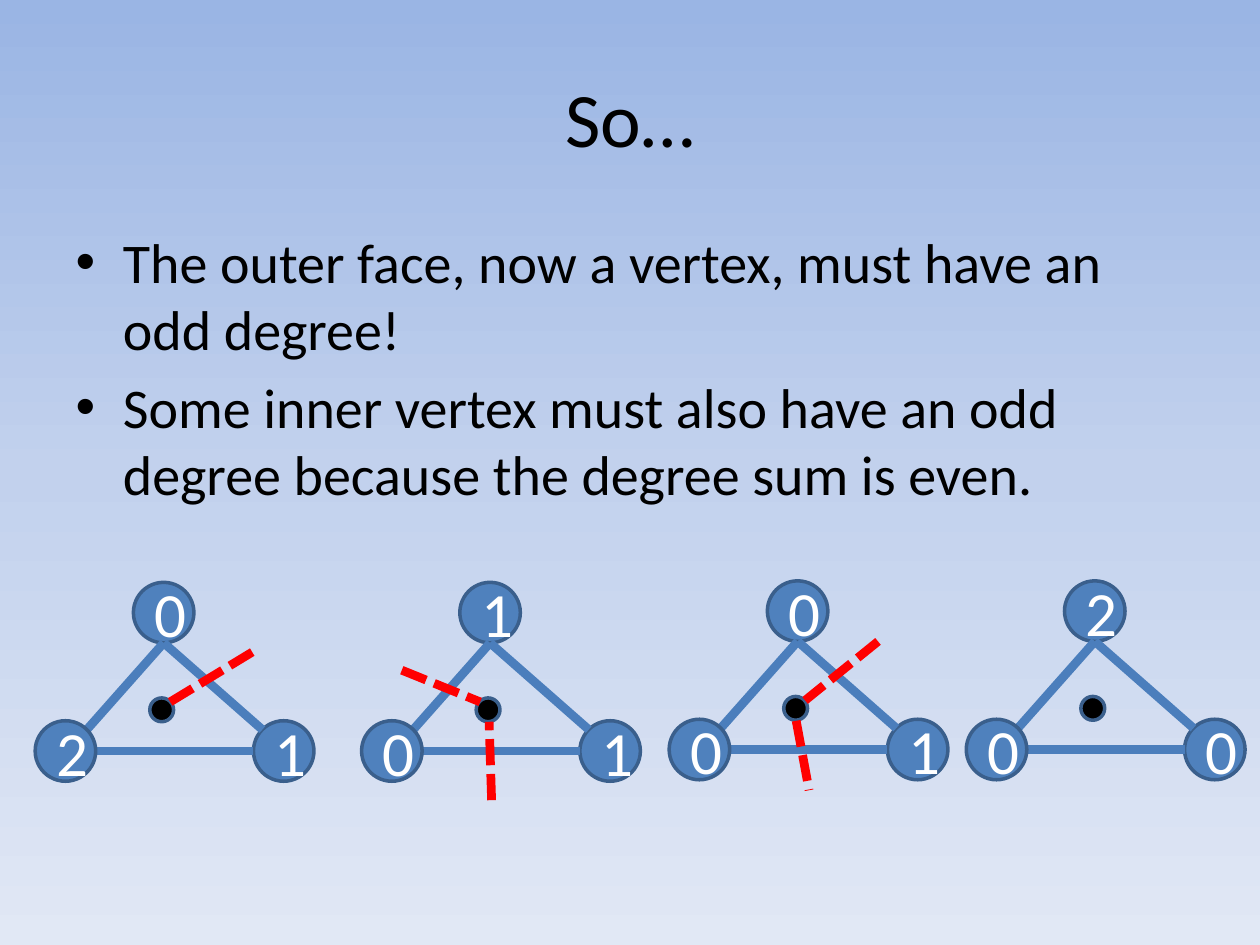
import copy
import math

import pptx
import pptx.dml.color
import pptx.enum.dml
import pptx.enum.shapes
import pptx.enum.text
import pptx.oxml
import pptx.util
from pptx.util import Cm, Pt

TITLE = "So…"
BULLETS = [
    "The outer face, now a vertex, must have an odd degree!",
    "Some inner vertex must also have an odd degree because the degree sum is even.",
]
BACKGROUND = [(0, "9AB5E4"), (0.5, "C2D1ED"), (1, "E1E8F5")]

# Left and top of the lower left vertex in cm, then top, right and left labels
TRIANGLES = [
    (0.71, 14.53, "0", "1", "2"),
    (7.29, 14.53, "1", "1", "0"),
    (13.49, 14.5, "0", "1", "0"),
    (19.48, 14.5, "2", "0", "0"),
]
DUAL_EDGES = [
    (3.43, 14.15, 5.11, 13.13),
    (9.91, 16.13, 9.86, 14.55),
    (8.1, 13.51, 9.68, 14.15),
    (17.7, 12.93, 16.23, 14.12),
    (16.05, 14.53, 16.31, 15.93),
]
VERTEX, DOT = 1.22, 0.48
APEX = (1.98, -2.79)
BASE = 4.4
DOT_AT = (2.31, -0.46)


def rgb(color):
    return pptx.dml.color.RGBColor.from_string(color)


def format_text(tf, size, color):
    for p in tf.paragraphs:
        for r in p.runs:
            r.font.name = "Calibri"
            r.font.size = Pt(size)
            r.font.color.rgb = rgb(color)


def place(sp, left, top, width, height):
    sp.left, sp.top, sp.width, sp.height = map(Cm, (left, top, width, height))


def add_circle(s, left, top, size, color, label=""):
    sp = s.shapes.add_shape(pptx.enum.shapes.MSO_SHAPE.OVAL,
                            Cm(left), Cm(top), Cm(size), Cm(size))
    sp.shadow.inherit = False
    sp.fill.solid()
    sp.fill.fore_color.rgb = rgb(color)
    sp.line.color.rgb = rgb("3A5F8C")
    sp.line.width = Pt(2)
    if label:
        tf = sp.text_frame
        tf.text = label
        tf.vertical_anchor = pptx.enum.text.MSO_ANCHOR.MIDDLE
        tf.paragraphs[0].alignment = pptx.enum.text.PP_ALIGN.CENTER
        format_text(tf, 36, "FFFFFF")


def add_line(s, x1, y1, x2, y2, color, dash=None):
    line = s.shapes.add_connector(pptx.enum.shapes.MSO_CONNECTOR.STRAIGHT,
                                  Cm(x1), Cm(y1), Cm(x2), Cm(y2))
    line.line.color.rgb = rgb(color)
    line.line.width = Pt(5)
    if dash:
        line.line.dash_style = dash
    sp_pr = line.element.spPr
    sp_pr.append(sp_pr.makeelement(pptx.oxml.ns.qn("a:effectLst"), {}))


def add_triangle(s, x, y, top, right, left):
    radius = VERTEX / 2
    diagonal = radius / math.sqrt(2)
    center_y = y + radius
    apex = (x + APEX[0] + radius, y + APEX[1] + VERTEX)
    edge = "4B7EBC"
    add_circle(s, x + APEX[0], y + APEX[1], VERTEX, "4F81BD", top)
    add_circle(s, x + BASE, y, VERTEX, "4F81BD", right)
    add_line(s, x + radius + diagonal, center_y - diagonal, *apex, edge)
    add_line(s, x + VERTEX, center_y, x + BASE, center_y, edge)
    add_circle(s, x, y, VERTEX, "4F81BD", left)
    add_circle(s, x + DOT_AT[0], y + DOT_AT[1], DOT, "000000")
    add_line(s, *apex, x + BASE + radius - diagonal, center_y - diagonal, edge)


def fill_background(s):
    fill = s.background.fill
    fill.gradient()
    fill.gradient_angle = 270  # counter-clockwise, so colours run downwards
    stops = s.element.xpath(".//a:gsLst")[0]
    stops.append(copy.deepcopy(stops[-1]))
    for stop, (position, color) in zip(fill.gradient_stops, BACKGROUND):
        stop.position = position
        stop.color.rgb = rgb(color)


def main():
    prs = pptx.Presentation()
    prs.slide_width, prs.slide_height = Cm(25.4), Cm(19.05)
    s = prs.slides.add_slide(prs.slide_layouts[1])
    fill_background(s)

    title, body = s.placeholders
    place(title, 1.27, 0.76, 22.86, 3.18)
    title.text_frame.text = TITLE
    format_text(title.text_frame, 44, "000000")

    place(body, 1.27, 4.45, 22.86, 12.57)
    body.text_frame.text = "\n".join(BULLETS)
    format_text(body.text_frame, 32, "000000")

    for triangle in TRIANGLES:
        add_triangle(s, *triangle)
    for dual_edge in DUAL_EDGES:
        add_line(s, *dual_edge, "FF0000", pptx.enum.dml.MSO_LINE.SQUARE_DOT)

    prs.save("out.pptx")


if __name__ == "__main__":
    main()
